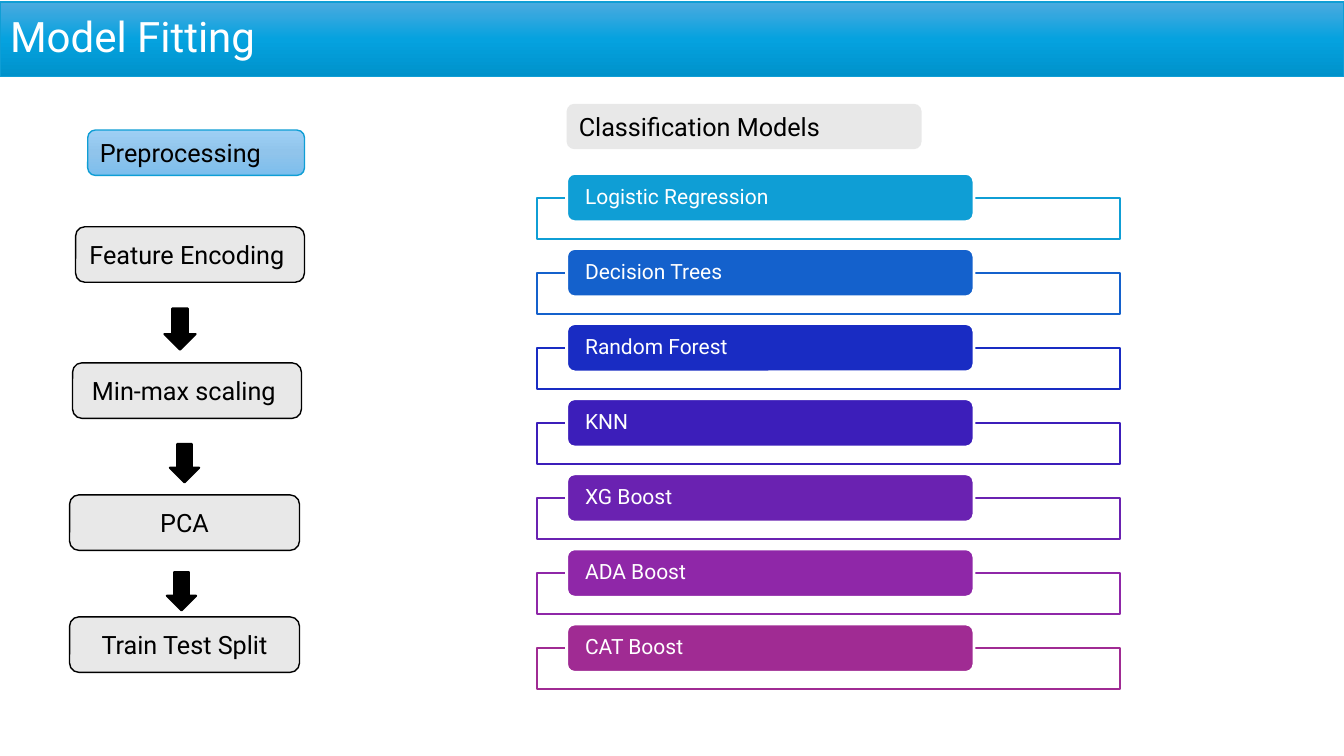
from copy import deepcopy

from lxml import etree
from pptx import Presentation
from pptx import util as u
from pptx.dml.color import RGBColor
from pptx.enum import shapes, text
from pptx.oxml.ns import qn

FONT = "Roboto"
WHITE = RGBColor(0xFF, 0xFF, 0xFF)
BLACK = RGBColor(0x00, 0x00, 0x00)
GRAY = RGBColor(0xE8, 0xE8, 0xE8)
BLUE = RGBColor(0x0F, 0x9E, 0xD5)
TITLE_GRADIENT = [RGBColor(0x4C, 0xAA, 0xDF), RGBColor(0x05, 0xA2, 0xDF), RGBColor(0x00, 0x92, 0xCB)]
LABEL_GRADIENT = [RGBColor(0x9E, 0xCF, 0xF5), RGBColor(0x90, 0xC4, 0xEB), RGBColor(0x7C, 0xBE, 0xED)]

MODELS = [
    ("Logistic Regression", BLUE),
    ("Decision Trees", RGBColor(0x14, 0x61, 0xCC)),
    ("Random Forest", RGBColor(0x19, 0x2C, 0xC3)),
    ("KNN", RGBColor(0x3C, 0x1E, 0xBA)),
    ("XG Boost", RGBColor(0x6A, 0x22, 0xB1)),
    ("ADA Boost", RGBColor(0x8F, 0x27, 0xA8)),
    ("CAT Boost", RGBColor(0xA0, 0x2B, 0x93)),
]
MODEL_TOP, MODEL_PITCH = 1.72, 0.745

STEPS = [
    ("Feature Encoding ", 0.75, 2.25, 2.27),
    ("Min-max scaling ", 0.72, 3.6, 2.27),
    ("PCA", 0.69, 4.91, 2.28),
    ("Train Test Split", 0.69, 6.12, 2.28),
]
ARROWS = [(1.58, 3.11, 0.41, 0.31), (1.64, 4.45, 0.38, 0.29), (1.61, 5.72, 0.38, 0.29)]


def assign(target, values):
    """Set each attribute named in values on the target."""
    for name, value in values.items():
        setattr(target, name, value)


def paint(shape, fill, line=None, width=1):
    """Give a shape a solid or top-down gradient fill and an outline."""
    if isinstance(fill, list):
        shape.fill.gradient()
        shape.fill.gradient_angle = 270
        stop_list = shape.fill._xPr.find(qn("a:gradFill")).find(qn("a:gsLst"))
        stop_list.append(deepcopy(stop_list[-1]))
        for index, (stop, color) in enumerate(zip(shape.fill.gradient_stops, fill)):
            stop.color.rgb = color
            stop.position = index / (len(fill) - 1)
    else:
        shape.fill.solid()
        shape.fill.fore_color.rgb = fill
    if line is None:
        shape.line.fill.background()
    else:
        shape.line.color.rgb = line
        shape.line.width = u.Pt(width)


def add_box(slide, kind, box, fill, line=None, width=1):
    """Add a painted preset shape without a shadow."""
    shape = slide.shapes.add_shape(kind, *(u.Inches(value) for value in box))
    shape.shadow.inherit = False
    paint(shape, fill, line, width)
    return shape


def write(shape, words, size, color, frame=None, paragraph=None):
    """Write one line of text; left-aligned and centred in height by default."""
    text_frame = shape.text_frame
    text_frame.text = words
    assign(text_frame, {"word_wrap": True, "auto_size": text.MSO_AUTO_SIZE.NONE,
                        "vertical_anchor": text.MSO_ANCHOR.MIDDLE, **(frame or {})})
    line = text_frame.paragraphs[0]
    assign(line, {"alignment": text.PP_ALIGN.LEFT, **(paragraph or {})})
    assign(line.font, {"name": FONT, "size": u.Pt(size)})
    line.font.color.rgb = color


def add_title(slide):
    """Turn the title placeholder into the banner."""
    title = slide.shapes.title
    assign(title, {"left": u.Inches(0), "top": u.Inches(0.02),
                   "width": u.Inches(13.33), "height": u.Inches(0.74)})
    paint(title, TITLE_GRADIENT, BLUE)
    write(title, "Model Fitting", 30, WHITE, paragraph={"line_spacing": 0.9})


def add_label(slide, words, box, fill, line=None):
    """Add a rounded column heading."""
    label = add_box(slide, shapes.MSO_SHAPE.ROUNDED_RECTANGLE, box, fill, line)
    write(label, words, 18, BLACK, {"vertical_anchor": text.MSO_ANCHOR.TOP})


def add_model(slide, words, color, top):
    """Add a model bar over its outlined frame."""
    frame = add_box(slide, shapes.MSO_SHAPE.RECTANGLE, (5.33, top + 0.24, 5.78, 0.41), WHITE, color, 1.5)
    white = frame.fill._xPr.find(qn("a:solidFill"))[0]
    etree.SubElement(white, qn("a:alpha"), val="90000")
    bar = add_box(slide, shapes.MSO_SHAPE.ROUNDED_RECTANGLE, (5.62, top, 4.04, 0.48), color, WHITE, 2)
    insets = {"margin_left": u.Inches(0.16), "margin_right": u.Inches(0.16),
              "margin_top": 0, "margin_bottom": 0}
    write(bar, words, 15, WHITE, insets, {"line_spacing": 0.9})


def add_step(slide, words, left, top, width):
    """Add one preprocessing step."""
    step = add_box(slide, shapes.MSO_SHAPE.ROUNDED_RECTANGLE, (left, top, width, 0.55), GRAY, BLACK)
    write(step, words, 18, BLACK, paragraph={"alignment": text.PP_ALIGN.CENTER})


def add_down_arrow(slide, box):
    """Add a block arrow turned to point down."""
    arrow = add_box(slide, shapes.MSO_SHAPE.RIGHT_ARROW, box, BLACK, BLACK, 1.5)
    arrow.rotation = 90


def main():
    """Build and save the slide."""
    presentation = Presentation()
    assign(presentation, {"slide_width": u.Inches(13.33), "slide_height": u.Inches(7.5)})
    slide = presentation.slides.add_slide(presentation.slide_layouts[5])
    add_title(slide)
    for index, (words, color) in enumerate(MODELS):
        add_model(slide, words, color, MODEL_TOP + index * MODEL_PITCH)
    add_label(slide, "Classification Models", (5.62, 1.03, 3.52, 0.45), GRAY)
    add_label(slide, "Preprocessing", (0.87, 1.29, 2.15, 0.45), LABEL_GRADIENT, BLUE)
    for step in STEPS:
        add_step(slide, *step)
    for box in ARROWS:
        add_down_arrow(slide, box)
    presentation.save("out.pptx")


if __name__ == "__main__":
    main()
